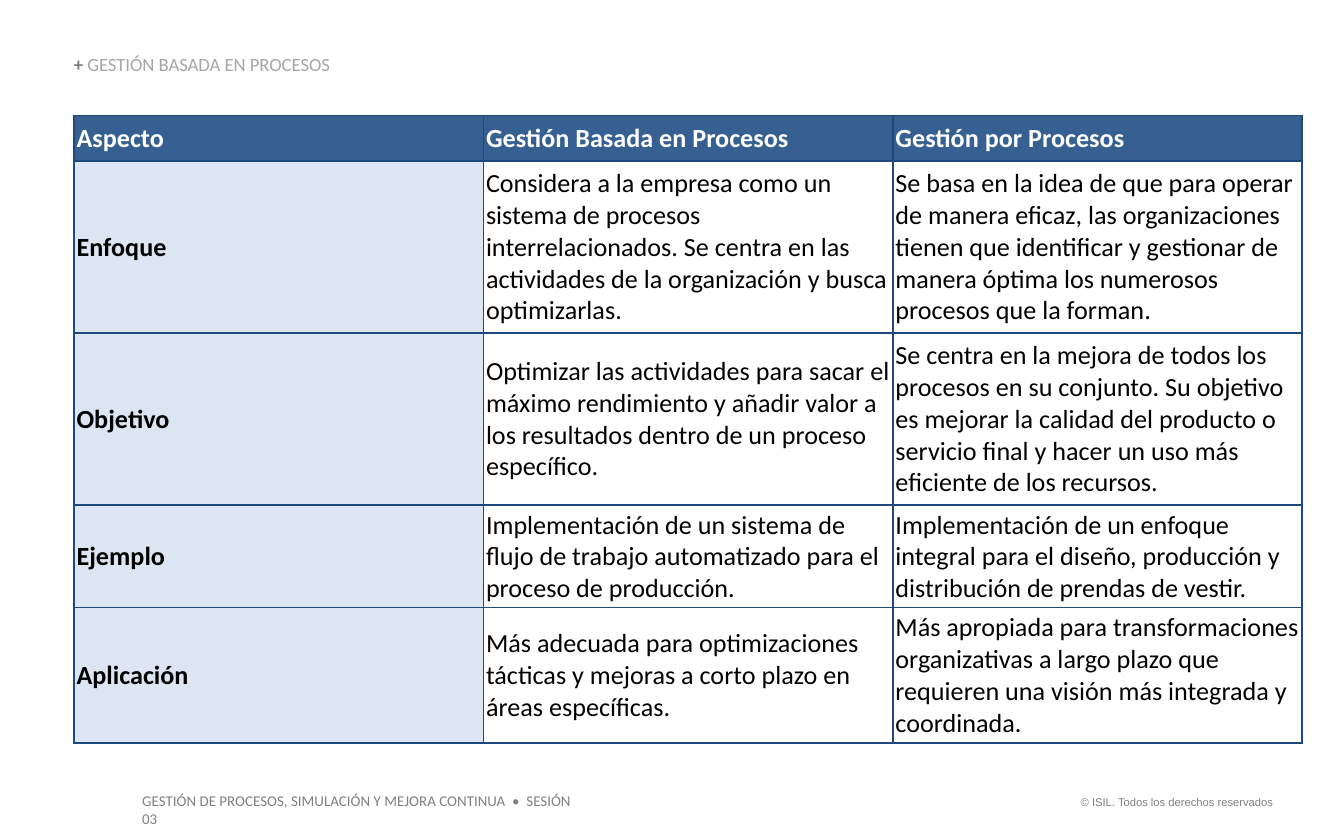
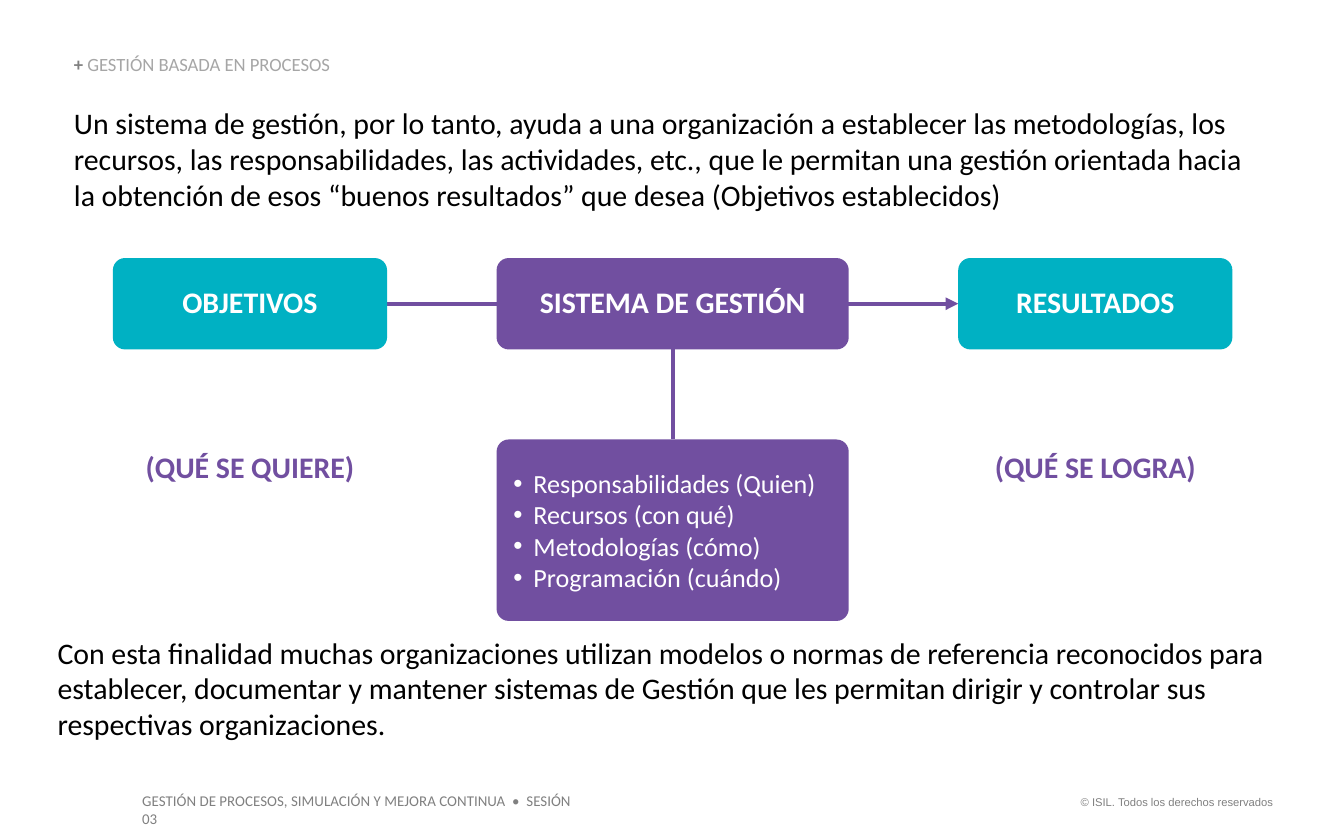
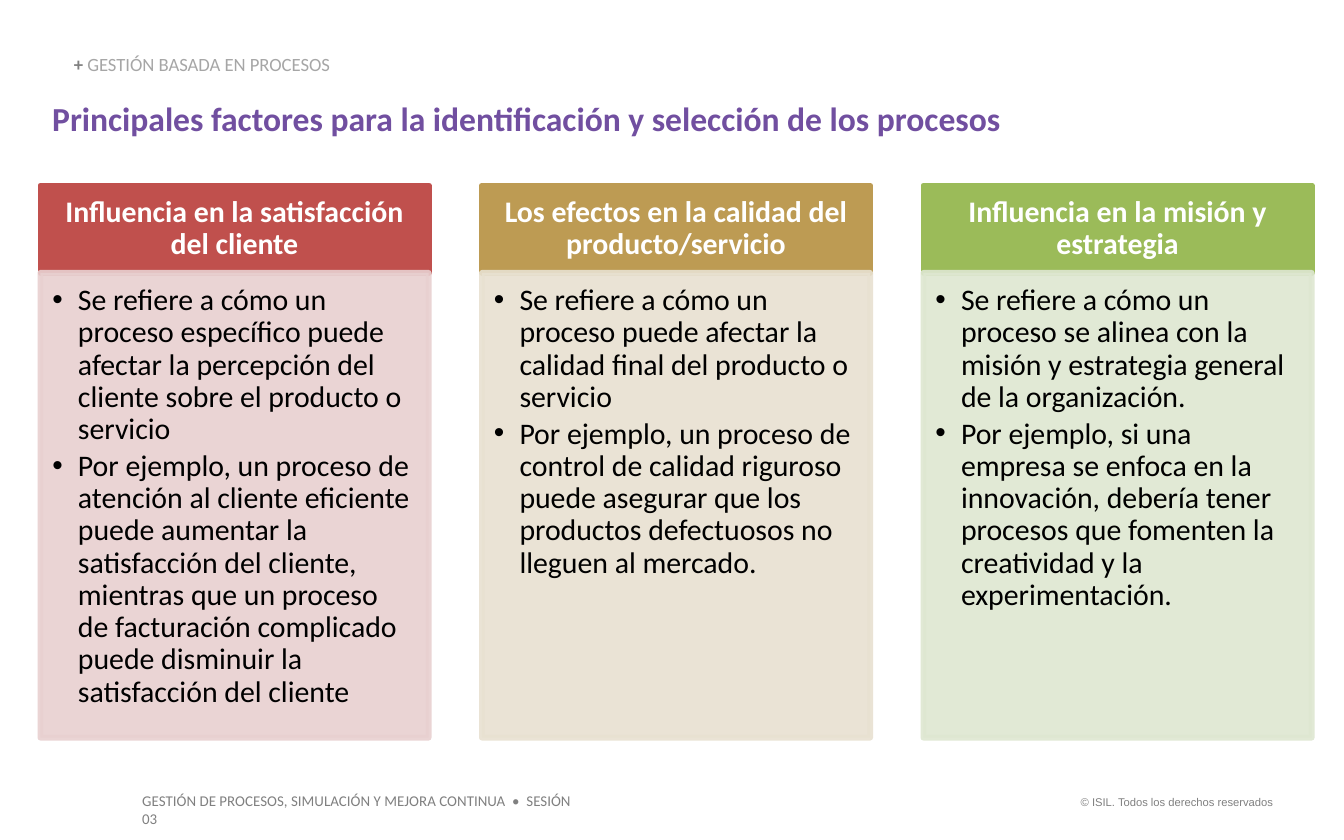
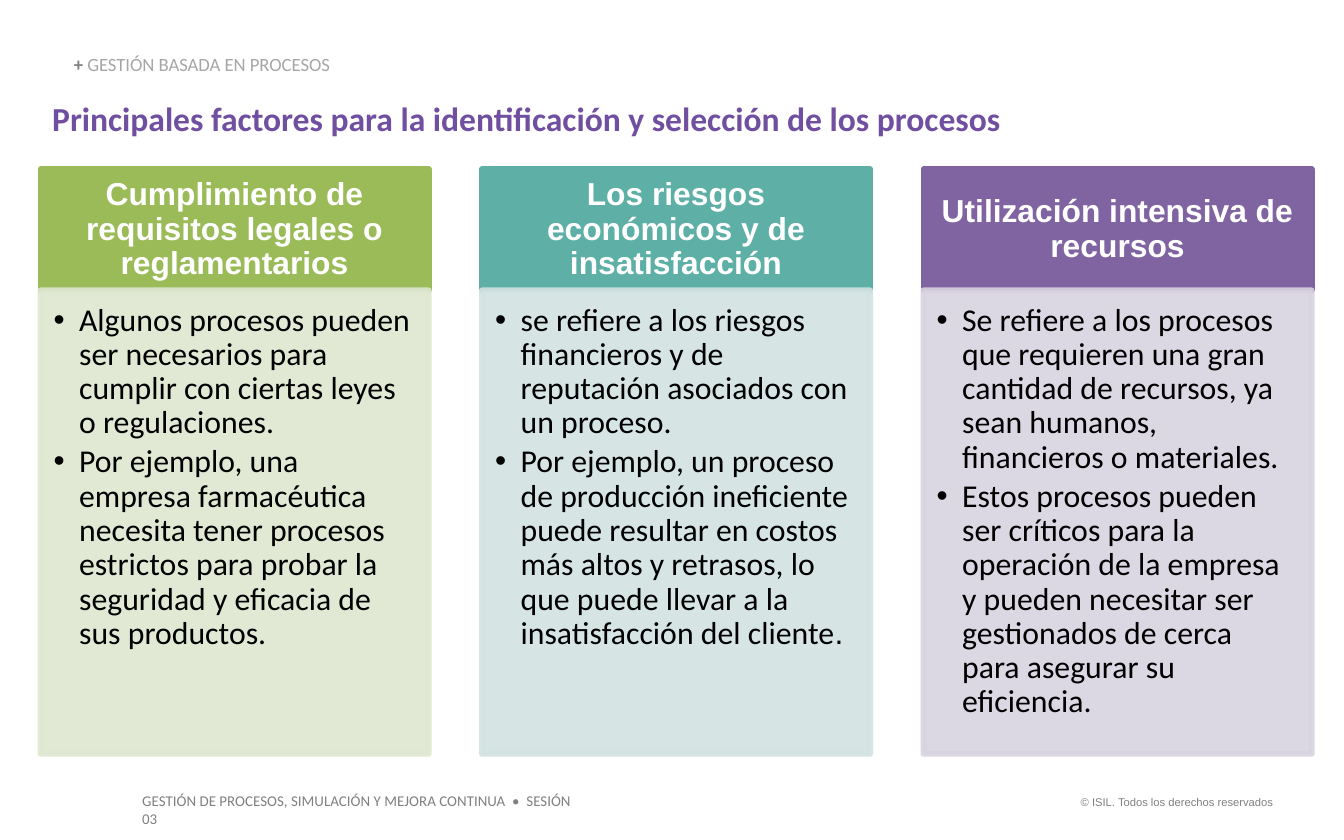
from lxml.etree import SubElement
from pptx import Presentation
from pptx.dml.color import RGBColor
from pptx.enum.shapes import MSO_CONNECTOR, MSO_SHAPE
from pptx.enum.text import MSO_ANCHOR, PP_ALIGN
from pptx.oxml.ns import qn
from pptx.util import Inches, Pt

COLORS = {
    "white": "FFFFFF", "black": "000000", "gray": "808080", "light_gray": "A6A6A6",
    "purple": "714FA0", "cyan": "00B1C3",
    "navy": "1F497D", "blue": "376092", "pale_blue": "DCE6F2",
    "red": "C0504D", "pale_red": "E8D0D0", "gold": "BD9B53", "pale_gold": "E8E1D1",
    "green": "9BBB59", "pale_green": "DEE7D1", "teal": "5EAFA6", "pale_teal": "D2E3E2",
    "violet": "8064A2", "pale_violet": "D8D3E0",
}
FONT = "Calibri"
NO_INSET = (0, 0, 0, 0)
INSET = (0.1, 0.05, 0.1, 0.05)
MIDDLE = {"vertical_anchor": MSO_ANCHOR.MIDDLE}
CENTER = {"alignment": PP_ALIGN.CENTER}
TIGHT = {"line_spacing": 0.9}

SECTION = [[("+ ", {"bold": True}), ("GESTIÓN BASADA EN PROCESOS", {"color": "light_gray"})]]
FOOTER = "GESTIÓN DE PROCESOS, SIMULACIÓN Y MEJORA CONTINUA  •  SESIÓN 03"
COPYRIGHT = "© ISIL. Todos los derechos reservados"
FACTORS_TITLE = "Principales factores para la identificación y selección de los procesos"

COMPARISON = [
    ("Aspecto", "Gestión Basada en Procesos", "Gestión por Procesos"),
    ("Enfoque",
     "Considera a la empresa como un sistema de procesos interrelacionados. Se centra en las "
     "actividades de la organización y busca optimizarlas.",
     "Se basa en la idea de que para operar de manera eficaz, las organizaciones tienen que "
     "identificar y gestionar de manera óptima los numerosos procesos que la forman."),
    ("Objetivo",
     "Optimizar las actividades para sacar el máximo rendimiento y añadir valor a los resultados "
     "dentro de un proceso específico.",
     "Se centra en la mejora de todos los procesos en su conjunto. Su objetivo es mejorar la "
     "calidad del producto o servicio final y hacer un uso más eficiente de los recursos."),
    ("Ejemplo",
     "Implementación de un sistema de flujo de trabajo automatizado para el proceso de producción.",
     "Implementación de un enfoque integral para el diseño, producción y distribución de prendas "
     "de vestir."),
    ("Aplicación",
     "Más adecuada para optimizaciones tácticas y mejoras a corto plazo en áreas específicas.",
     "Más apropiada para transformaciones organizativas a largo plazo que requieren una visión "
     "más integrada y coordinada."),
]
ROW_HEIGHTS = (0.34, 1.28, 1.28, 0.75, 1.01)

INTRO = ("Un sistema de gestión, por lo tanto, ayuda a una organización a establecer las "
         "metodologías, los recursos, las responsabilidades, las actividades, etc., que le "
         "permitan una gestión orientada hacia la obtención de esos “buenos resultados” que "
         "desea (Objetivos establecidos)")
CLOSING = ("Con esta finalidad muchas organizaciones utilizan modelos o normas de referencia "
           "reconocidos para establecer, documentar y mantener sistemas de Gestión que les "
           "permitan dirigir y controlar sus respectivas organizaciones.")
SYSTEM_PARTS = ["Responsabilidades (Quien)", "Recursos (con qué)", "Metodologías (cómo)",
                "Programación (cuándo)"]

IMPACT_FACTORS = [
    ("red", "Influencia en la satisfacción del cliente",
     ["Se refiere a cómo un proceso específico puede afectar la percepción del cliente sobre el "
      "producto o servicio",
      "Por ejemplo, un proceso de atención al cliente eficiente puede aumentar la satisfacción "
      "del cliente, mientras que un proceso de facturación complicado puede disminuir la "
      "satisfacción del cliente"]),
    ("gold", "Los efectos en la calidad del producto/servicio",
     ["Se refiere a cómo un proceso puede afectar la calidad final del producto o servicio",
      "Por ejemplo, un proceso de control de calidad riguroso puede asegurar que los productos "
      "defectuosos no lleguen al mercado."]),
    ("green", "Influencia en la misión y estrategia",
     ["Se refiere a cómo un proceso se alinea con la misión y estrategia general de la "
      "organización.",
      "Por ejemplo, si una empresa se enfoca en la innovación, debería tener procesos que "
      "fomenten la creatividad y la experimentación."]),
]
RISK_FACTORS = [
    ("green", "Cumplimiento de requisitos legales o reglamentarios",
     ["Algunos procesos pueden ser necesarios para cumplir con ciertas leyes o regulaciones.",
      "Por ejemplo, una empresa farmacéutica necesita tener procesos estrictos para probar la "
      "seguridad y eficacia de sus productos."]),
    ("teal", "Los riesgos económicos y de insatisfacción",
     ["se refiere a los riesgos financieros y de reputación asociados con un proceso.",
      [("Por ejemplo, un proceso de producción ineficiente puede resultar en costos más altos y "
        "retrasos, lo que puede llevar a la insatisfacción del cliente", {}),
       (".", {"name": "Arial"})]]),
    ("violet", "Utilización intensiva de recursos",
     ["Se refiere a los procesos que requieren una gran cantidad de recursos, ya sean humanos, "
      "financieros o materiales.",
      "Estos procesos pueden ser críticos para la operación de la empresa y pueden necesitar ser "
      "gestionados de cerca para asegurar su eficiencia."]),
]


def rgb(name):
    """Return the named colour."""
    return RGBColor.from_string(COLORS[name])


def apply(obj, values):
    """Set each attribute of an object from a dict."""
    for key, value in values.items():
        setattr(obj, key, value)


def add_bullet(p, indent):
    """Give a paragraph a hanging round bullet."""
    pPr = p._p.get_or_add_pPr()
    pPr.set("marL", str(Inches(indent)))
    pPr.set("indent", str(-Inches(indent)))
    SubElement(pPr, qn("a:buFont")).set("typeface", "Arial")
    SubElement(pPr, qn("a:buChar")).set("char", "•")


def write(tf, paragraphs, size, color="black", bold=False, name=FONT, para=None, bullet=0,
          gap=0):
    """Fill a text frame with paragraphs, each a string or a list of (text, format) runs."""
    for i, content in enumerate(paragraphs):
        p = tf.add_paragraph() if i else tf.paragraphs[0]
        if bullet:
            add_bullet(p, bullet)
        apply(p, para or {})
        if gap and i < len(paragraphs) - 1:
            p.space_after = Pt(gap)
        runs = [(content, {})] if isinstance(content, str) else content
        for text, change in runs:
            r = p.add_run()
            r.text = text
            font = {"size": Pt(size), "bold": bold, "name": name, "color": color, **change}
            r.font.color.rgb = rgb(font.pop("color"))
            apply(r.font, font)


def set_frame(tf, inset, frame=None):
    """Set wrapping, margins and other frame values."""
    sides = ("margin_left", "margin_top", "margin_right", "margin_bottom")
    apply(tf, {"word_wrap": True, **dict(zip(sides, map(Inches, inset))), **(frame or {})})


def add_text(slide, box, paragraphs, size, inset=INSET, frame=None, **style):
    """Add a text box."""
    tf = slide.shapes.add_textbox(*map(Inches, box)).text_frame
    set_frame(tf, inset, frame)
    write(tf, paragraphs, size, **style)


def add_box(slide, kind, box, fill, paragraphs, size, inset=INSET, frame=None, **style):
    """Add a filled preset shape holding text."""
    sp = slide.shapes.add_shape(kind, *map(Inches, box))
    sp.shadow.inherit = False
    sp.fill.solid()
    sp.fill.fore_color.rgb = rgb(fill)
    sp.line.fill.background()
    set_frame(sp.text_frame, inset, frame)
    write(sp.text_frame, paragraphs, size, **style)
    return sp


def add_rounded(slide, box, fill, paragraphs, size, **style):
    """Add a rounded box with a constant corner radius."""
    sp = add_box(slide, MSO_SHAPE.ROUNDED_RECTANGLE, box, fill, paragraphs, size,
                 frame=MIDDLE, color="white", **style)
    sp.adjustments[0] = 0.09 / box[3]


def add_line(slide, start, end, arrow=False):
    """Add a purple connector, with an arrowhead at its end on request."""
    line = slide.shapes.add_connector(MSO_CONNECTOR.STRAIGHT, *map(Inches, start + end))
    line.line.color.rgb = rgb("purple")
    line.line.width = Pt(2.25)
    if arrow:
        SubElement(line.line._get_or_add_ln(), qn("a:tailEnd")).set("type", "triangle")
    SubElement(line._element.spPr, qn("a:effectLst"))


def add_slide(prs):
    """Add a blank slide with the shared section label and footers."""
    slide = prs.slides.add_slide(prs.slide_layouts[6])
    add_text(slide, (7.88, 5.87, 1.69, 0.2), [COPYRIGHT], 6, color="gray", name="Arial",
             para={"alignment": PP_ALIGN.RIGHT})
    add_text(slide, (0.96, 5.84, 3.53, 0.24), [FOOTER], 8, color="gray")
    add_text(slide, (0.55, 0.41, 2.66, 0.15), SECTION, 10, color="gray", inset=NO_INSET,
             frame={"vertical_anchor": MSO_ANCHOR.BOTTOM}, para=TIGHT)
    return slide


def add_borders(cell):
    """Outline a table cell on all sides."""
    tcPr = cell._tc.get_or_add_tcPr()
    for side in ("lnL", "lnR", "lnT", "lnB"):
        ln = SubElement(tcPr, qn(f"a:{side}"))
        ln.set("w", str(Pt(1)))
        fill = SubElement(ln, qn("a:solidFill"))
        SubElement(fill, qn("a:srgbClr")).set("val", COLORS["navy"])


def add_comparison(slide, box):
    """Add the comparison table."""
    table = slide.shapes.add_table(len(COMPARISON), 3, *map(Inches, box)).table
    table.horz_banding = False
    for column in table.columns:
        column.width = Inches(box[2] / 3)
    for i, texts in enumerate(COMPARISON):
        table.rows[i].height = Inches(ROW_HEIGHTS[i])
        for j, text in enumerate(texts):
            cell = table.cell(i, j)
            add_borders(cell)
            if i and j:
                cell.fill.background()
            else:
                cell.fill.solid()
                cell.fill.fore_color.rgb = rgb("pale_blue" if i else "blue")
            apply(cell, {"margin_left": Inches(0.02), "margin_right": Inches(0.02),
                         "margin_top": Inches(0.03), "margin_bottom": Inches(0.03), **MIDDLE})
            write(cell.text_frame, [text], 14, color="black" if i else "white",
                  bold=not (i and j))


def add_system_diagram(slide, box):
    """Add the flow from objectives to results through the management system."""
    x, y, w, h = box
    side_w, mid_w, head_h, parts_h = 2.04, 2.62, 0.68, 1.35
    mid_x, right_x = x + (w - mid_w) / 2, x + w - side_w
    parts_y = y + h - parts_h
    axis_y, axis_x = y + head_h / 2, x + w / 2
    add_line(slide, (x + side_w, axis_y), (right_x, axis_y), arrow=True)
    add_line(slide, (axis_x, y + head_h), (axis_x, parts_y))
    for left, width, fill, label in ((x, side_w, "cyan", "OBJETIVOS"),
                                     (mid_x, mid_w, "purple", "SISTEMA DE GESTIÓN"),
                                     (right_x, side_w, "cyan", "RESULTADOS")):
        add_rounded(slide, (left, y, width, head_h), fill, [label], 16, bold=True,
                    para={**CENTER, **TIGHT})
    add_rounded(slide, (mid_x, parts_y, mid_w, parts_h), "purple", SYSTEM_PARTS, 14,
                bullet=0.15, para={"alignment": PP_ALIGN.LEFT})
    for left, label in ((x, "(QUÉ SE QUIERE)"), (right_x, "(QUÉ SE LOGRA)")):
        add_text(slide, (left, parts_y + 0.07, side_w, 0.27), [label], 16, inset=NO_INSET,
                 color="purple", bold=True, para=CENTER)


def add_outline(sp, color, alpha=100):
    """Outline a shape and make its fill and line partly transparent."""
    sp.line.color.rgb = rgb(color)
    sp.line.width = Pt(3)
    if alpha < 100:
        for clr in sp._element.spPr.iter(qn("a:srgbClr")):
            SubElement(clr, qn("a:alpha")).set("val", str(alpha * 1000))


def add_factor(slide, box, head_h, factor, size, head_font):
    """Add one factor: a coloured heading over a pale bulleted panel."""
    x, y, w, h = box
    color, title, points = factor
    side = 0.12 if size == 16 else 0.13
    head = add_box(slide, MSO_SHAPE.RECTANGLE, (x, y, w, head_h), color, [title], size,
                   inset=(side, side - 0.05, side, side - 0.05), frame=MIDDLE, color="white",
                   bold=True, name=head_font, para={**CENTER, **TIGHT})
    add_outline(head, color)
    pad = side - 0.03
    panel = add_box(slide, MSO_SHAPE.RECTANGLE, (x, y + head_h, w, h - head_h),
                    f"pale_{color}", points, size, inset=(pad, pad, side, side + 0.02),
                    frame={"vertical_anchor": MSO_ANCHOR.TOP}, bullet=0.19, gap=2.5,
                    para={**TIGHT, "alignment": PP_ALIGN.LEFT})
    add_outline(panel, f"pale_{color}", 90)


def add_factors(slide, box, head_h, factors, size, head_font=FONT):
    """Add the title and a row of equally spaced factors."""
    add_text(slide, (0.29, 0.71, 9.14, 0.37), [FACTORS_TITLE], 18, color="purple", bold=True,
             para=TIGHT)
    x, y, w, h = box
    col_w = 2.89
    step = (w - col_w) / (len(factors) - 1)
    for i, factor in enumerate(factors):
        add_factor(slide, (x + i * step, y, col_w, h), head_h, factor, size, head_font)


def main():
    """Build and save the presentation."""
    prs = Presentation()
    prs.slide_width, prs.slide_height = Inches(10), Inches(6.25)

    add_comparison(add_slide(prs), (0.55, 0.86, 9.14, sum(ROW_HEIGHTS)))

    slide = add_slide(prs)
    add_text(slide, (0.55, 0.78, 8.79, 0.81), [INTRO], 16, inset=NO_INSET)
    add_system_diagram(slide, (0.84, 1.92, 8.33, 2.7))
    add_text(slide, (0.33, 4.67, 9.22, 0.91), [CLOSING], 16)

    add_factors(add_slide(prs), (0.3, 1.38, 9.46, 4.11), 0.65, IMPACT_FACTORS, 16)
    add_factors(add_slide(prs), (0.3, 1.26, 9.46, 4.35), 0.9, RISK_FACTORS, 17, "Arial")

    prs.save("out.pptx")


if __name__ == "__main__":
    main()
